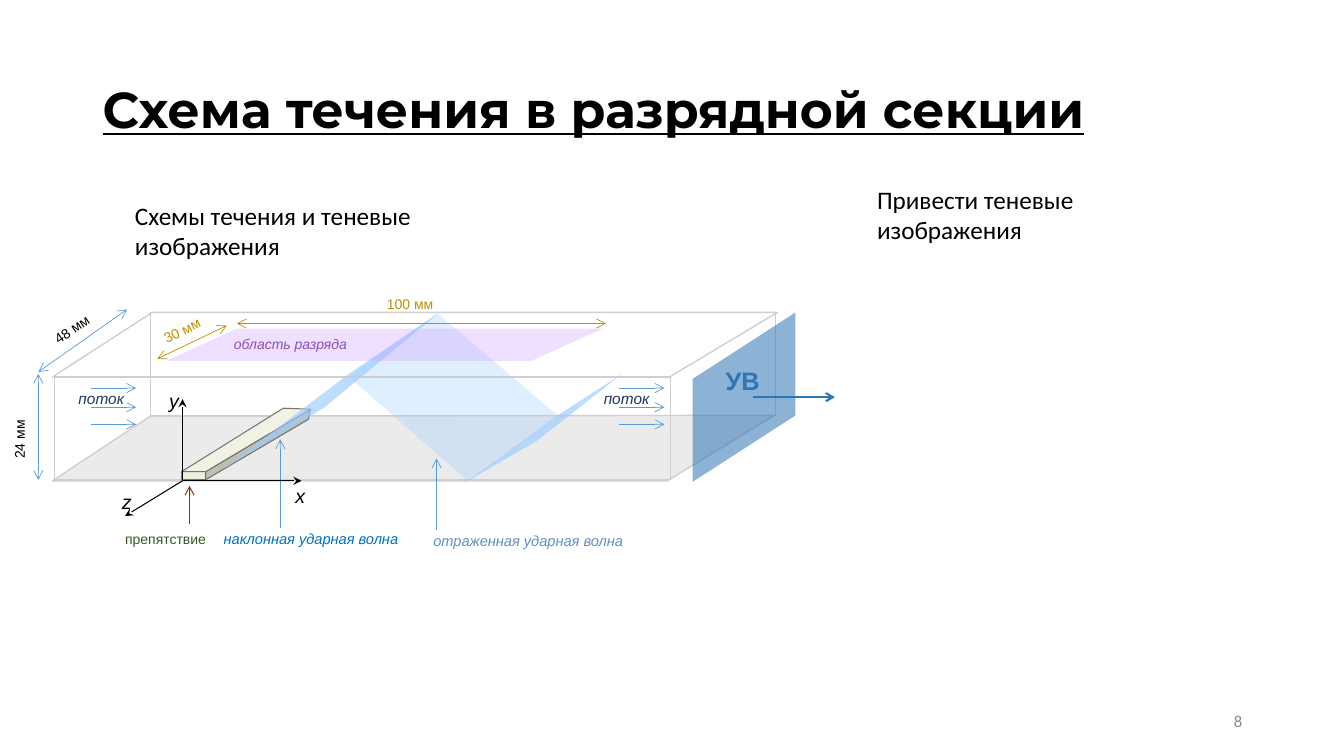
from dataclasses import dataclass
from typing import Optional

from lxml import etree
from pptx import Presentation
from pptx.dml.color import RGBColor
from pptx.enum import shapes, text
from pptx.oxml import ns
from pptx.util import Inches, Pt

BLACK = RGBColor(0x00, 0x00, 0x00)
PAGE_GREY = RGBColor(0x8C, 0x8C, 0x8C)
FRAME_GREY = RGBColor(0xD0, 0xCE, 0xCE)
EDGE_GREY = RGBColor(0x76, 0x71, 0x71)
BLUE = RGBColor(0x5B, 0x9B, 0xD5)
SHOCK_BLUE = RGBColor(0x2E, 0x75, 0xB6)
WAVE_BLUE = RGBColor(0x99, 0xCC, 0xFF)
OBLIQUE_BLUE = RGBColor(0x00, 0x70, 0xC0)
REFLECTED_BLUE = RGBColor(0x64, 0x8F, 0xC4)
NAVY = RGBColor(0x20, 0x38, 0x64)
GOLD = RGBColor(0xBF, 0x90, 0x00)
BROWN = RGBColor(0x84, 0x3C, 0x0B)
GREEN = RGBColor(0x38, 0x57, 0x23)
PURPLE = RGBColor(0x70, 0x30, 0xA0)
LILAC = RGBColor(0xCC, 0x99, 0xFF)
CREAM = RGBColor(0xEE, 0xEF, 0xDD)
CREAM_LIGHT = RGBColor(0xF1, 0xF2, 0xE4)
CREAM_DARK = RGBColor(0xBE, 0xBF, 0xB1)

LEFT, CENTER, RIGHT = text.PP_ALIGN.LEFT, text.PP_ALIGN.CENTER, text.PP_ALIGN.RIGHT
TOP, MIDDLE = text.MSO_ANCHOR.TOP, text.MSO_ANCHOR.MIDDLE


@dataclass(frozen=True)
class Label:
    wording: str
    area: tuple
    size: float
    color: RGBColor = BLACK
    font: str = "Arial"
    italic: bool = False
    bold: bool = False
    underline: bool = False
    align: text.PP_ALIGN = LEFT
    anchor: text.MSO_ANCHOR = TOP
    rotation: float = 0
    spacing: float = 1.0


@dataclass(frozen=True)
class Patch:
    points: tuple
    fill: Optional[RGBColor] = None
    opacity: int = 100
    line: Optional[RGBColor] = None
    width: float = 1


@dataclass(frozen=True)
class Arrow:
    start: tuple
    end: tuple
    color: RGBColor = BLUE
    width: float = 0.5
    tip: str = "arrow"
    double: bool = False


HEADINGS = [
    Label("Схема течения в разрядной секции", (0.92, 0.39, 11.5, 1.45), 36, font="Montserrat",
          bold=True, underline=True, anchor=MIDDLE, spacing=0.9),
    Label("8", (9.42, 6.95, 3, 0.4), 12, PAGE_GREY, "Calibri", align=RIGHT, anchor=MIDDLE),
    Label("Схемы течения и теневые изображения", (1.24, 1.94, 3.36, 0.71), 18, font="Calibri"),
    Label("Привести теневые изображения", (8.6, 1.78, 2.78, 0.71), 18, font="Calibri"),
]
CHANNEL_WALLS = [(1.49, 3.1, 6.2, 1.02), (0.54, 3.74, 6.11, 1.02)]
FLOOR = Patch(((0.52, 4.77), (1.49, 4.13), (7.68, 4.12), (6.62, 4.77)), FRAME_GREY, 40, FRAME_GREY)
LID = Patch(((0.52, 3.74), (1.51, 3.1), (7.71, 3.1), (6.64, 3.74)), line=FRAME_GREY)
DISCHARGE_LABEL = Label("область разряда", (2.2, 3.28, 1.36, 0.27), 10, PURPLE,
                        italic=True, align=CENTER)
OBSTACLE = [
    Patch(((1.8, 4.68), (2.04, 4.68), (2.04, 4.76), (1.8, 4.76)), CREAM, line=EDGE_GREY, width=0.75),
    Patch(((2.04, 4.68), (3.08, 4.06), (3.06, 4.16), (2.04, 4.76)), CREAM_DARK,
          line=EDGE_GREY, width=0.75),
    Patch(((1.8, 4.68), (2.81, 4.05), (3.08, 4.06), (2.04, 4.68)), CREAM_LIGHT,
          line=EDGE_GREY, width=0.75),
]
FLOW_REGIONS = [
    Patch(((2.22, 4.65), (3.46, 3.71), (4.37, 3.09), (3.22, 4.04)), WAVE_BLUE, 65),
    Patch(((3.46, 3.74), (4.63, 4.76), (5.53, 4.12), (4.34, 3.11)), WAVE_BLUE, 30),
    Patch(((1.65, 3.58), (2.35, 3.26), (5.98, 3.26), (5.27, 3.58)), LILAC, 30),
    Patch(((4.59, 4.8), (5.5, 4.14), (6.17, 3.71), (5.33, 4.37)), WAVE_BLUE, 65),
]
FLOW_STARTS = [0.9, 6.14]
FLOW_LEVELS = [3.85, 4.04, 4.21]
FLOW_ARROWS = [Arrow((x, y), (x + 0.45, y)) for x in FLOW_STARTS for y in FLOW_LEVELS]
DIMENSIONS = [
    Arrow((0.38, 3.71), (0.38, 4.76), double=True),
    Arrow((1.26, 3.07), (0.38, 3.69), double=True),
    Arrow((2.35, 3.21), (6.01, 3.21), GOLD, double=True),
    Arrow((2.25, 3.23), (1.56, 3.56), GOLD, double=True),
]
POINTERS = [
    Arrow((2.78, 5.24), (2.78, 4.36)),
    Arrow((4.33, 5.26), (4.33, 4.55)),
    Arrow((1.88, 5.2), (1.88, 4.82), BROWN, 0.75),
    Arrow((7.47, 3.94), (8.28, 3.94), SHOCK_BLUE, 1.5),
]
ORIGIN = (1.81, 4.77)
AXES = [Arrow(ORIGIN, end, BLACK, 0.75, "stealth")
        for end in ((1.81, 3.96), (1.24, 5.12), (2.99, 4.77))]
FLOW_LABELS = [Label("поток", (x, 3.81, 0.66, 0.26), 11, NAVY, italic=True, align=RIGHT)
               for x in (0.67, 5.88)]
LABELS = [
    Label("24 мм", (-0.17, 4.15, 0.73, 0.27), 10, rotation=270),
    Label("48 мм", (0.41, 3.09, 0.72, 0.27), 10, rotation=325.5),
    Label("30 мм", (1.51, 3.11, 0.72, 0.28), 10, GOLD, rotation=333.2),
    Label("100 мм", (3.74, 2.88, 0.66, 0.24), 10, GOLD),
    Label("препятствие", (0.97, 5.21, 1.17, 0.24), 10, GREEN, align=RIGHT),
    Label("наклонная ударная волна", (2.12, 5.21, 2.04, 0.28), 10.5, OBLIQUE_BLUE, italic=True),
    Label("отраженная ударная волна", (4.2, 5.23, 2.25, 0.28), 10.5, REFLECTED_BLUE, italic=True),
    Label("УВ", (7.1, 3.58, 0.56, 0.36), 18, SHOCK_BLUE, bold=True),
    Label("y", (1.58, 3.81, 0.25, 0.31), 14, italic=True),
    Label("x", (2.83, 4.75, 0.21, 0.33), 14, italic=True),
    Label("z", (1.11, 4.81, 0.29, 0.29), 14, italic=True),
]


def draw_label(canvas, label: Label) -> None:
    box = canvas.add_textbox(*map(Inches, label.area))
    box.rotation = label.rotation
    frame = box.text_frame
    frame.word_wrap = True
    frame.vertical_anchor = label.anchor
    if label.align == LEFT:
        frame.margin_right = 0
    elif label.align == RIGHT:
        frame.margin_left = 0
    frame.text = label.wording
    para = frame.paragraphs[0]
    para.alignment = label.align
    para.line_spacing = label.spacing
    font = para.runs[0].font
    font.name, font.size = label.font, Pt(label.size)
    font.bold, font.italic, font.underline = label.bold, label.italic, label.underline
    font.color.rgb = label.color


def paint(shape, fill: Optional[RGBColor], opacity: int, line: Optional[RGBColor],
          width: float) -> None:
    shape.shadow.inherit = False
    if fill is None:
        shape.fill.background()
    else:
        shape.fill.solid()
        shape.fill.fore_color.rgb = fill
        if opacity < 100:
            color = shape._element.spPr.find(ns.qn("a:solidFill"))[0]
            etree.SubElement(color, ns.qn("a:alpha"), val=str(opacity * 1000))
    if line is None:
        shape.line.fill.background()
    else:
        shape.line.color.rgb = line
        shape.line.width = Pt(width)


def draw_patch(canvas, patch: Patch) -> None:
    corners = [(Inches(x), Inches(y)) for x, y in patch.points]
    builder = canvas.build_freeform(*corners[0])
    builder.add_line_segments(corners[1:], close=True)
    paint(builder.convert_to_shape(), patch.fill, patch.opacity, patch.line, patch.width)


def draw_wall(canvas, area: tuple) -> None:
    wall = canvas.add_shape(shapes.MSO_SHAPE.RECTANGLE, *map(Inches, area))
    paint(wall, None, 100, FRAME_GREY, 1)


def draw_shock_plane(canvas) -> None:
    area = map(Inches, (6.54, 3.43, 1.68, 1.02))
    plane = canvas.add_shape(shapes.MSO_SHAPE.PARALLELOGRAM, *area)
    plane.adjustments[0] = 0.646
    plane.rotation = 90
    plane._element.spPr.find(ns.qn("a:xfrm")).set("flipH", "1")
    paint(plane, SHOCK_BLUE, 55, None, 0)


def draw_arrow(canvas, arrow: Arrow) -> None:
    ends = map(Inches, arrow.start + arrow.end)
    connector = canvas.add_connector(shapes.MSO_CONNECTOR.STRAIGHT, *ends)
    connector.line.color.rgb = arrow.color
    connector.line.width = Pt(arrow.width)
    properties = connector._element.spPr
    stroke = properties.find(ns.qn("a:ln"))
    for tag in ("a:headEnd", "a:tailEnd") if arrow.double else ("a:tailEnd",):
        etree.SubElement(stroke, ns.qn(tag), type=arrow.tip)
    etree.SubElement(properties, ns.qn("a:effectLst"))


def draw_scheme(canvas) -> None:
    for area in CHANNEL_WALLS:
        draw_wall(canvas, area)
    draw_patch(canvas, FLOOR)
    draw_label(canvas, DISCHARGE_LABEL)
    for patch in OBSTACLE + FLOW_REGIONS:
        draw_patch(canvas, patch)
    draw_shock_plane(canvas)
    draw_patch(canvas, LID)
    for arrow in DIMENSIONS + FLOW_ARROWS + POINTERS + AXES:
        draw_arrow(canvas, arrow)
    for label in LABELS + FLOW_LABELS:
        draw_label(canvas, label)


def main() -> None:
    deck = Presentation()
    deck.slide_width, deck.slide_height = Inches(13.33), Inches(7.5)
    page = deck.slides.add_slide(deck.slide_layouts[6])
    draw_scheme(page.shapes.add_group_shape().shapes)
    for heading in HEADINGS:
        draw_label(page.shapes, heading)
    deck.save("out.pptx")


if __name__ == "__main__":
    main()
